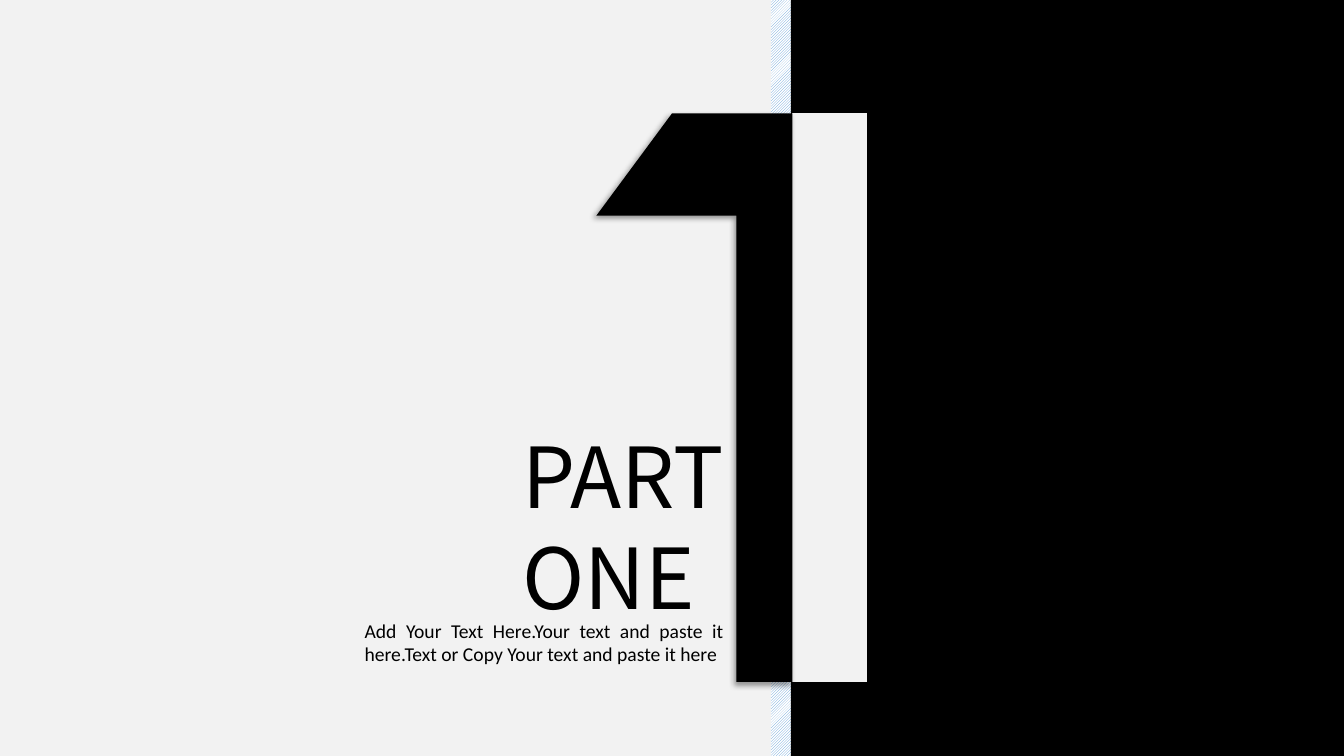
from pptx import Presentation
from pptx.dml.color import RGBColor
from pptx.enum import dml, shapes, text
from pptx.oxml import parse_xml
from pptx.oxml import ns
from pptx.util import Pt

HUES = {"paper": "F2F2F2", "ink": "000000", "blue": "5B9BD5", "white": "FFFFFF"}


def hue(name):
    return RGBColor.from_string(HUES[name])


deck = Presentation()
deck.slide_width, deck.slide_height = Pt(960), Pt(540)
slide = deck.slides.add_slide(deck.slide_layouts[5])
slide.background.fill.solid()
slide.background.fill.fore_color.rgb = hue("paper")
title = slide.shapes.title

bands = []
for left, width in [(550.8, 28), (565, 395)]:
    band = slide.shapes.add_shape(
        shapes.MSO_SHAPE.RECTANGLE, Pt(left), Pt(0), Pt(width), Pt(540))
    band.shadow.inherit = False
    band.line.fill.background()
    bands.append(band)

stripe, panel = bands
stripe.fill.patterned()
stripe.fill.pattern = dml.MSO_PATTERN.LIGHT_UPWARD_DIAGONAL
stripe.fill.fore_color.rgb = hue("blue")
stripe.fill.back_color.rgb = hue("white")
panel.fill.solid()
panel.fill.fore_color.rgb = hue("ink")

top, foot, mid = 81.4, 487.2, 566.2
halves = [
    ("paper", 45, [(mid, top), (619.2, top), (619.2, foot), (mid, foot)]),
    ("ink", 135, [(480, top), (mid, top), (mid, foot),
                  (526.4, foot), (526.4, 153.6), (426, 153.6)]),
]
digit = slide.shapes.add_group_shape()
for tone, angle, points in halves:
    pen = digit.shapes.build_freeform(*points[0], scale=Pt(1))
    pen.add_line_segments(points[1:], close=True)
    half = pen.convert_to_shape()
    half.fill.solid()
    half.fill.fore_color.rgb = hue(tone)
    half.line.fill.background()
    half.shadow.inherit = False
    effects = half.element.spPr.find(ns.qn("a:effectLst"))
    effects.append(parse_xml(
        f'<a:outerShdw {ns.nsdecls("a")} blurRad="{Pt(4)}" dist="{Pt(3)}" '
        f'dir="{angle * 60000}" algn="t" rotWithShape="0">'
        f'<a:srgbClr val="{HUES["ink"]}"><a:alpha val="40000"/></a:srgbClr>'
        '</a:outerShdw>'))

body = slide.shapes.add_textbox(Pt(253.4), Pt(438.5), Pt(270.7), Pt(41))
slide.shapes._spTree.append(title._element)
for name, value in {"left": 365.8, "top": 299.5, "width": 198.7, "height": 152.6}.items():
    setattr(title, name, Pt(value))

labels = [
    (title, "PART ONE", text.PP_ALIGN.LEFT,
     {"size": Pt(60), "name": "Noto Sans CJK JP"}),
    (body, "Add Your Text Here.Your text and paste it here.Text or Copy Your text and paste it here",
     text.PP_ALIGN.JUSTIFY, {"size": Pt(14), "name": "Calibri"}),
]
for box, words, align, font in labels:
    frame = box.text_frame
    frame.text = words
    frame.word_wrap = True
    frame.auto_size = text.MSO_AUTO_SIZE.NONE
    frame.vertical_anchor = text.MSO_ANCHOR.TOP
    line = frame.paragraphs[0]
    line.alignment = align
    run = line.runs[0]
    for name, value in font.items():
        setattr(run.font, name, value)
    run.font.color.rgb = hue("ink")

deck.save("out.pptx")
